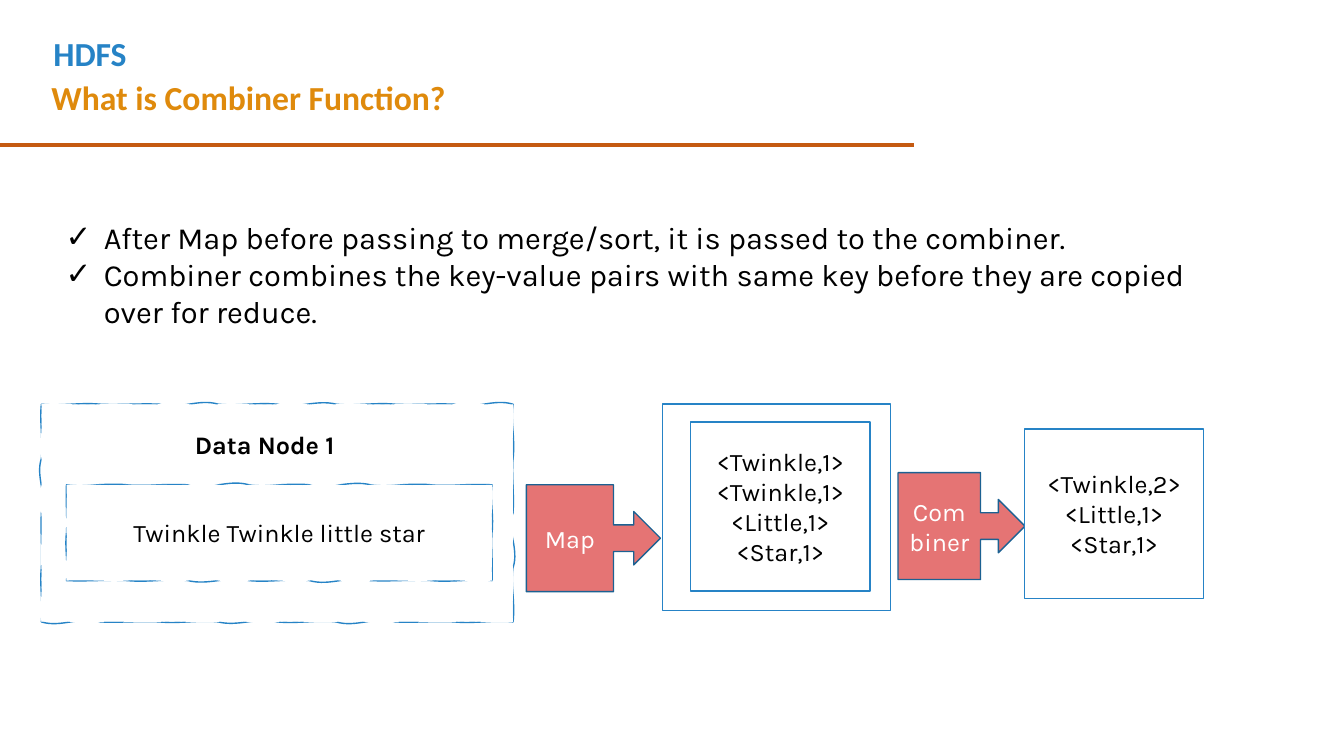
from itertools import cycle
from lxml.etree import SubElement
from pptx import Presentation
from pptx.dml.color import RGBColor
from pptx.enum.shapes import MSO_CONNECTOR, MSO_SHAPE
from pptx.enum.text import MSO_ANCHOR, MSO_AUTO_SIZE, PP_ALIGN
from pptx.oxml.ns import qn
from pptx.util import Inches, Pt

CELLS = 100  # the grid has 100 columns and 100 rows
WAVE = Inches(0.58)  # usual length of one wave in a hand-drawn edge
SWAYS = [Inches(s) for s in (0.02, 0.01, 0.06, 0.02, 0.05)]  # wave heights


def tint(code):
    return RGBColor.from_string(code)


def write(frame, lines, size=18, color="000000", font="Karla", bold=False,
          align=PP_ALIGN.CENTER, anchor=MSO_ANCHOR.MIDDLE, mark=None):
    frame.word_wrap = True
    frame.auto_size = MSO_AUTO_SIZE.NONE
    frame.vertical_anchor = anchor
    for i, line in enumerate(lines):
        para = frame.paragraphs[0] if i == 0 else frame.add_paragraph()
        if mark:
            props = para._p.get_or_add_pPr()
            props.set("marL", str(Inches(0.38)))
            props.set("indent", str(-Inches(0.38)))
            SubElement(props, qn("a:buChar")).set("char", mark)
        para.text = line
        para.alignment = align
        para.space_before = para.space_after = Pt(0)
        para.line_spacing = 1.0
        face = para.font
        face.name, face.size, face.bold = font, Pt(size), bold
        face.color.rgb = tint(color)


def waves(start, end, sign):
    """Split an edge into S-curves that swing to both sides of it."""
    (x, y), (x2, y2) = start, end
    span = abs(x2 - x) + abs(y2 - y)
    count = round(span / WAVE)
    dx, dy = (x2 - x) / span, (y2 - y) / span
    for i, sway in zip(range(count), cycle(SWAYS)):
        # Each curve has two pulls, one to each side, and ends on the edge
        yield [(x + dx * along + dy * off, y + dy * along - dx * off)
               for along, off in ((span * (i + 1 / 3) / count, -sign * sway),
                                  (span * (i + 2 / 3) / count, sign * sway),
                                  (span * (i + 1) / count, 0))]


def trace(path, tag, dots):
    part = SubElement(path, qn(tag))
    for x, y in dots:
        dot = SubElement(part, qn("a:pt"))
        dot.set("x", str(round(x)))
        dot.set("y", str(round(y)))


class Deck:
    blue, navy, red, rust = "2683C6", "1C6192", "E57474", "C55A11"
    head = dict(size=24, font="Calibri", bold=True,
                align=PP_ALIGN.LEFT, anchor=MSO_ANCHOR.TOP)

    def __init__(self):
        self.file = Presentation()
        self.file.slide_width, self.file.slide_height = Inches(13.33), Inches(7.5)
        self.slide = self.file.slides.add_slide(self.file.slide_layouts[1])
        self.shapes = self.slide.shapes

    def spot(self, x, y):
        return (round(self.file.slide_width * x / CELLS),
                round(self.file.slide_height * y / CELLS))

    def area(self, x, y, wide, high):
        return *self.spot(x, y), *self.spot(wide, high)

    def holder(self, index, grid, lines, **style):
        item = self.slide.placeholders[index]
        item.left, item.top, item.width, item.height = self.area(*grid)
        write(item.text_frame, lines, **style)

    def label(self, grid, line, **style):
        write(self.shapes.add_textbox(*self.area(*grid)).text_frame, [line], **style)

    def paint(self, item, fill, line):
        item.shadow.inherit = False
        item.fill.solid()
        item.fill.fore_color.rgb = tint(fill)
        item.line.color.rgb = tint(line)
        item.line.width = Pt(1)

    def box(self, grid, lines=(), kind=MSO_SHAPE.RECTANGLE,
            fill="FFFFFF", line=blue, **style):
        item = self.shapes.add_shape(kind, *self.area(*grid))
        self.paint(item, fill, line)
        write(item.text_frame, lines, **style)

    def step(self, grid, line):
        self.box(grid, [line], MSO_SHAPE.RIGHT_ARROW_CALLOUT,
                 self.red, self.navy, color="FFFFFF")

    def rule(self, x, y, end):
        item = self.shapes.add_connector(
            MSO_CONNECTOR.STRAIGHT, *self.spot(x, y), *self.spot(end, y))
        item.line.color.rgb = tint(self.rust)
        item.line.width = Pt(3)
        SubElement(item._element.spPr, qn("a:effectLst"))

    def sketch(self, grid, lines=()):
        """Draw a wavy frame whose fill hides every inward wave of its line."""
        x, y, wide, high = self.area(*grid)
        ends = [(0, 0), (wide, 0), (wide, high), (0, high)]
        build = self.shapes.build_freeform(x, y)
        build.add_line_segments([(x + a, y + b) for a, b in ends[1:]])
        item = build.convert_to_shape()
        self.paint(item, "FFFFFF", self.blue)
        paths = item._element.spPr.find(".//" + qn("a:pathLst"))
        paths.clear()
        # The line and the fill swing in opposite directions
        for key, value, sign in (("fill", "none", 1), ("stroke", "0", -1)):
            path = SubElement(paths, qn("a:path"))
            path.set("w", str(wide))
            path.set("h", str(high))
            path.set(key, value)
            trace(path, "a:moveTo", ends[:1])
            for start, end in zip(ends, ends[1:] + ends[:1]):
                for curve in waves(start, end, sign):
                    trace(path, "a:cubicBezTo", curve)
            SubElement(path, qn("a:close"))
        write(item.text_frame, lines)


def main():
    deck = Deck()
    # Headings
    deck.holder(0, (3.08, 9.47, 65.6, 6.67), ["What is Combiner Function?"],
                color="DF8A0C", **deck.head)
    deck.rule(0, 19.2, 68.04)
    deck.label((3.23, 3.73, 61.5, 6.67), "HDFS", color=deck.blue, **deck.head)

    # Explanation
    deck.holder(1, (4.13, 28.27, 86.57, 16.13), [
        "After Map before passing to merge/sort, it is passed to the combiner.",
        "Combiner combines the key-value pairs with same key before they are "
        "copied over for reduce.",
    ], size=22, align=PP_ALIGN.LEFT, anchor=MSO_ANCHOR.TOP, mark="✓")

    # Data node
    deck.sketch((3.08, 53.47, 35.1, 28.8))
    deck.label((7.73, 56.13, 23.93, 5.33), "Data Node 1", bold=True)
    deck.sketch((4.95, 64.13, 31.66, 12.67), ["Twinkle Twinkle little star"])

    # Map and its pairs
    deck.step((39.16, 64.13, 9.98, 14.13), "Map")
    deck.box((49.29, 53.47, 16.95, 27.33))
    deck.box((51.39, 55.8, 13.35, 22.4),
             ["<Twinkle,1>", "<Twinkle,1>", "<Little,1>", "<Star,1>"])

    # Combiner and its pairs
    deck.step((66.82, 62.53, 9.45, 14.13), "Combiner")
    deck.box((76.22, 56.74, 13.35, 22.4), ["<Twinkle,2>", "<Little,1>", "<Star,1>"])
    deck.file.save("out.pptx")


if __name__ == "__main__":
    main()
